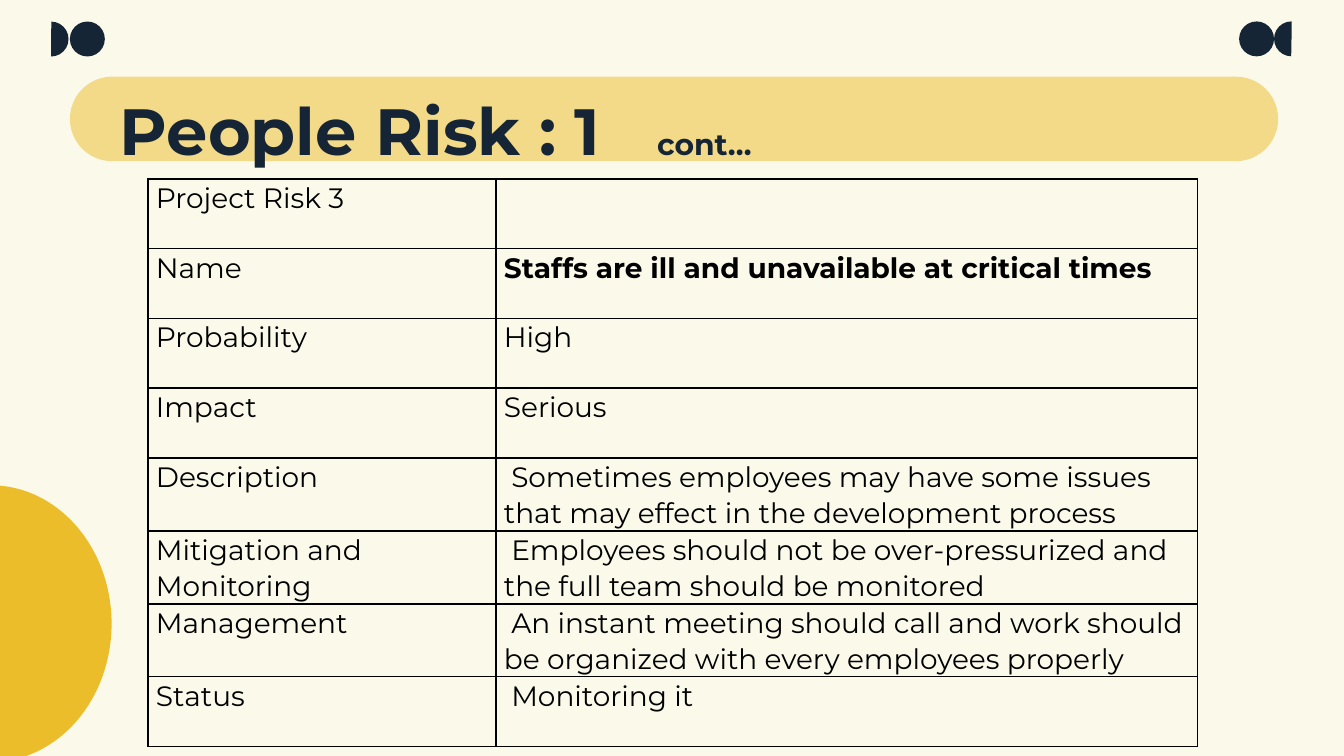
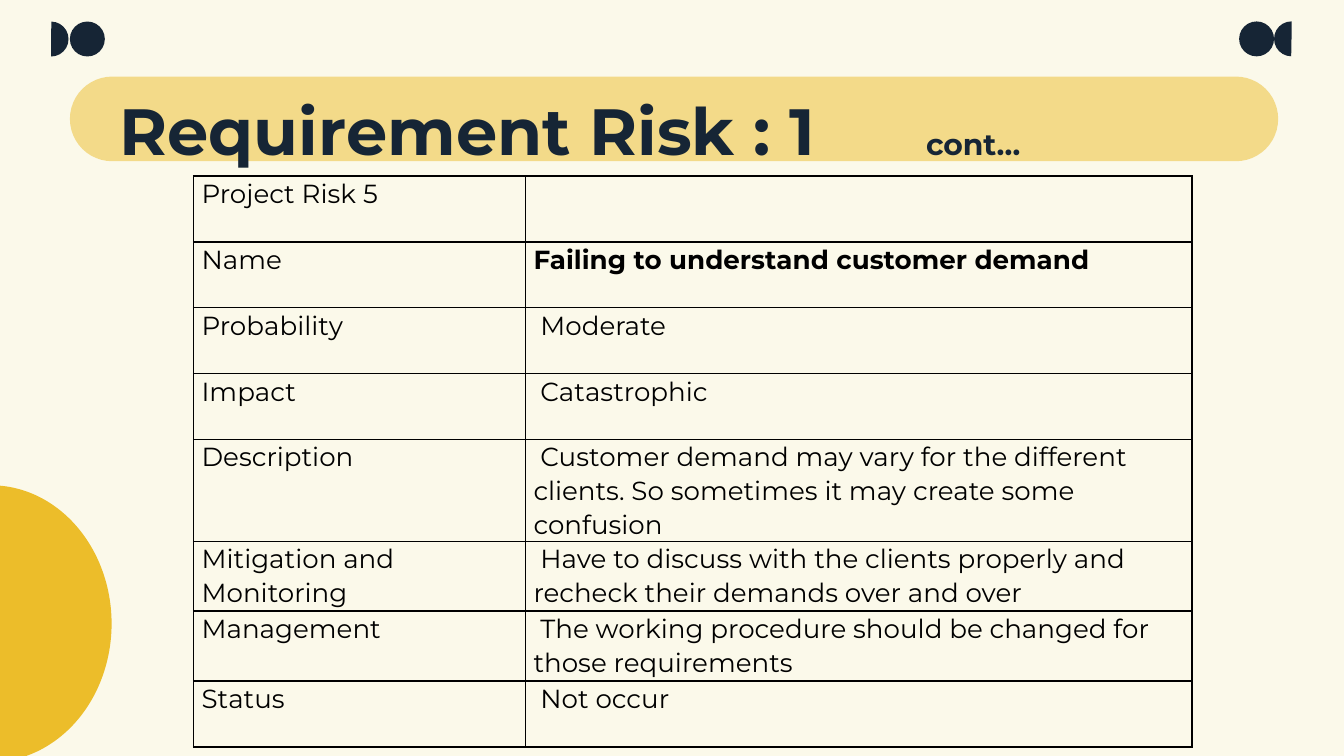
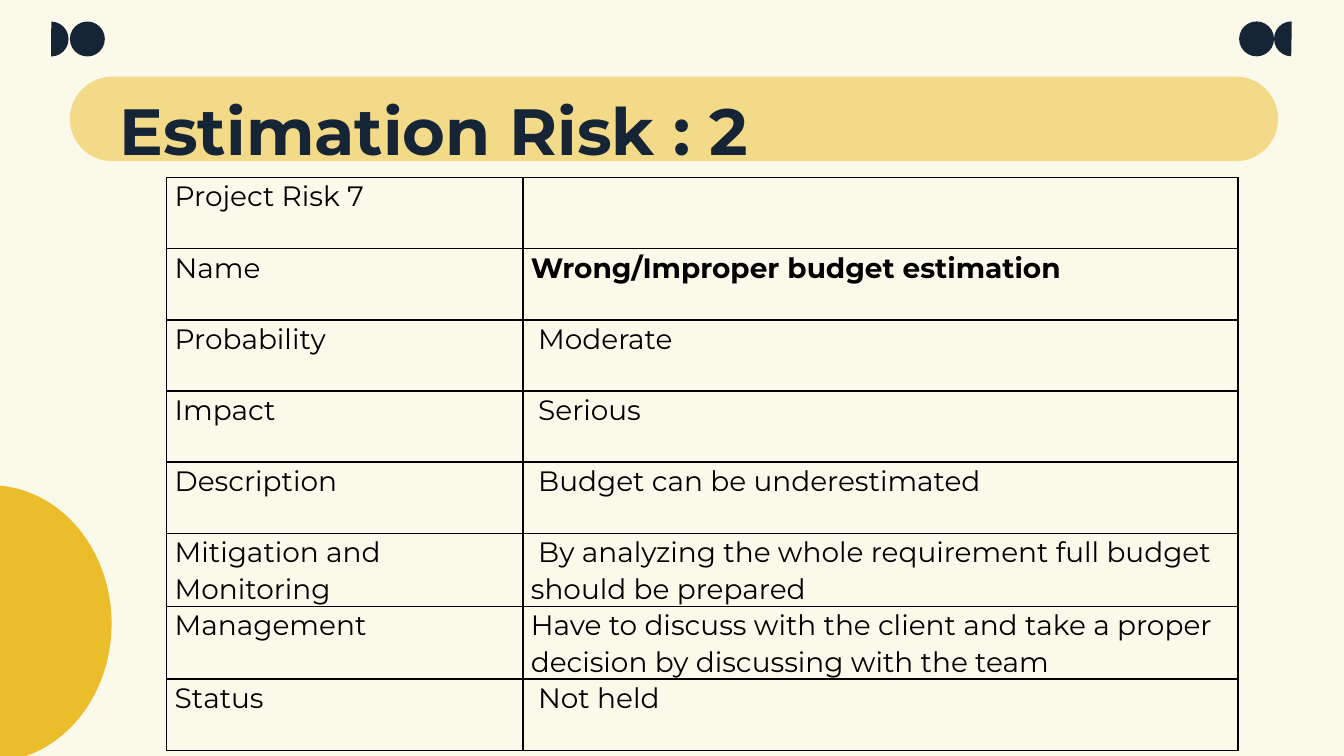
from dataclasses import dataclass

from lxml.etree import SubElement
from pptx import Presentation
from pptx.dml.color import RGBColor
from pptx.enum.shapes import MSO_SHAPE as Shape
from pptx.enum.text import MSO_ANCHOR as Anchor, MSO_AUTO_SIZE as AutoSize, PP_ALIGN as Align
from pptx.oxml.ns import qn
from pptx.util import Inches, Pt

# Shared style
CREAM, NAVY, GOLD, BLACK = "FBF9EA", "162535", "ECBD2A", "000000"
FONT = "Montserrat"
TITLE_SIZE, CONT_SIZE = 35, 16
LABELS = ["Name", "Probability", "Impact", "Description",
          "Mitigation and Monitoring", "Management", "Status"]


@dataclass
class Deco:
    kind: Shape
    box: tuple[float, float, float, float]
    color: str
    rotation: int = 0
    adjustments: tuple[float, ...] = ()
    alpha: int = 100


@dataclass
class Risk:
    title: str
    cont: str
    heading: str
    values: list[str]
    left: float
    top: float
    cols: tuple[float, float]
    rows: list[float]
    size: int


DOT = 0.26
HALF_DOT = (54.58, 162)
DECOS = [
    Deco(Shape.PIE, (0.25, 0.16, DOT, DOT), NAVY, 180, HALF_DOT),
    Deco(Shape.OVAL, (0.52, 0.16, DOT, DOT), NAVY, 180),
    Deco(Shape.PIE, (9.48, 0.16, DOT, DOT), NAVY, 0, HALF_DOT),
    Deco(Shape.OVAL, (9.22, 0.16, DOT, DOT), NAVY),
    Deco(Shape.PIE, (-0.97, 3.61, 1.8, 2.06), GOLD, 180, (53.46, 162)),
]
BAND = Deco(Shape.ROUNDED_RECTANGLE, (0.52, 0.57, 8.99, 0.63), GOLD, 0, (0.5,), 50)

RISKS = [
    Risk("People Risk : 1\t", "cont…", "Project Risk 3", [
        "Staffs are ill and unavailable at critical times",
        "High",
        "Serious",
        " Sometimes employees may have some issues that may effect in the development process",
        " Employees should not be over-pressurized and the full team should be monitored",
        " An instant meeting should call and work should be organized with every employees properly",
        " Monitoring it",
    ], 1.1, 1.33, (2.59, 5.22), [0.52] * 4 + [0.53] * 3 + [0.52], 15),
    Risk("Requirement Risk : 1\t", "cont…", "Project Risk 5", [
        "Failing to understand customer demand",
        " Moderate",
        " Catastrophic",
        " Customer demand may vary for the different clients. So sometimes it may create some confusion",
        " Have to discuss with the clients properly and recheck their demands over and over",
        " The working procedure should be changed for those requirements",
        " Not occur",
    ], 1.44, 1.31, (2.47, 4.96), [0.49] * 4 + [0.75, 0.52, 0.52, 0.49], 14),
    Risk("Estimation Risk : 2", "", "Project Risk 7", [
        "Wrong/Improper budget estimation",
        " Moderate",
        " Serious",
        " Budget can be underestimated",
        " By analyzing the whole requirement full budget should be prepared",
        "Have to discuss with the client and take a proper decision by discussing with the team",
        " Not held",
    ], 1.24, 1.32, (2.65, 5.32), [0.53] * 5 + [0.54] * 2 + [0.53], 15),
]


def rgb(color: str) -> RGBColor:
    return RGBColor.from_string(color)


def add_run(p, text: str, size: int, color: str, bold: bool = False) -> None:
    r = p.add_run()
    r.text = text
    r.font.name, r.font.size, r.font.bold = FONT, Pt(size), bold
    r.font.color.rgb = rgb(color)


def add_deco(s, deco: Deco):
    sp = s.shapes.add_shape(deco.kind, *map(Inches, deco.box))
    sp.shadow.inherit = False
    sp.rotation = deco.rotation
    for i, value in enumerate(deco.adjustments):
        sp.adjustments[i] = value
    sp.fill.solid()
    sp.fill.fore_color.rgb = rgb(deco.color)
    sp.line.fill.background()
    if deco.alpha < 100:
        clr = sp.element.spPr.find(qn("a:solidFill")).find(qn("a:srgbClr"))
        SubElement(clr, qn("a:alpha"), val=str(deco.alpha * 1000))
    return sp


def prepare_layout(layout, s) -> None:
    """Give the layout its background and the decorations drawn on s."""
    layout.background.fill.solid()
    layout.background.fill.fore_color.rgb = rgb(CREAM)
    for ph in list(layout.placeholders):
        if ph.placeholder_format.idx != 0:
            ph.element.getparent().remove(ph.element)
    for deco in DECOS:
        layout.shapes.element.append(add_deco(s, deco).element)


def add_title(s, risk: Risk) -> None:
    add_deco(s, BAND)
    title = s.shapes.title
    s.shapes.element.append(title.element)  # bring in front of the band
    title.left, title.top, title.width, title.height = map(Inches, (0.79, 0.57, 8.43, 0.63))
    tf = title.text_frame
    tf.margin_left = tf.margin_right = tf.margin_top = tf.margin_bottom = Inches(0.1)
    tf.vertical_anchor, tf.auto_size, tf.word_wrap = Anchor.TOP, AutoSize.NONE, True
    p = tf.paragraphs[0]
    p.alignment = Align.LEFT
    p._p.get_or_add_pPr().set("defTabSz", str(Inches(1)))
    add_run(p, risk.title, TITLE_SIZE, NAVY, True)
    if risk.cont:
        add_run(p, risk.cont, CONT_SIZE, NAVY, True)


def add_borders(cell) -> None:
    tc_pr = cell._tc.get_or_add_tcPr()
    for side in ("lnL", "lnR", "lnT", "lnB"):
        ln = SubElement(tc_pr, qn(f"a:{side}"), w=str(Pt(1)))
        fill = SubElement(ln, qn("a:solidFill"))
        SubElement(fill, qn("a:srgbClr"), val=BLACK)


def fill_cell(cell, text: str, size: int, bold: bool) -> None:
    add_borders(cell)
    cell.fill.background()
    cell.margin_left = cell.margin_right = Inches(0.06)
    cell.margin_top = cell.margin_bottom = 0
    p = cell.text_frame.paragraphs[0]
    p.line_spacing = 1.07
    if text:
        add_run(p, text, size, BLACK, bold)


def add_risk_table(s, risk: Risk) -> None:
    frame = s.shapes.add_table(len(risk.rows), len(risk.cols), Inches(risk.left), Inches(risk.top),
                               Inches(sum(risk.cols)), Inches(sum(risk.rows)))
    table = frame.table
    table.first_row = table.horz_banding = False
    for col, width in zip(table.columns, risk.cols):
        col.width = Inches(width)
    for row, height in zip(table.rows, risk.rows):
        row.height = Inches(height)
    pairs = [(risk.heading, ""), *zip(LABELS, risk.values)]
    for i, pair in enumerate(pairs):
        for j, text in enumerate(pair):
            is_name = (i, j) == (1, 1)
            fill_cell(table.cell(i, j), text, risk.size, is_name)


def main() -> None:
    prs = Presentation()
    prs.slide_width, prs.slide_height = Inches(10), Inches(10 * 9 / 16)
    layout = prs.slide_layouts[5]  # title only
    for i, risk in enumerate(RISKS):
        s = prs.slides.add_slide(layout)
        if i == 0:
            prepare_layout(layout, s)
        add_title(s, risk)
        add_risk_table(s, risk)
    prs.save("out.pptx")


if __name__ == "__main__":
    main()
